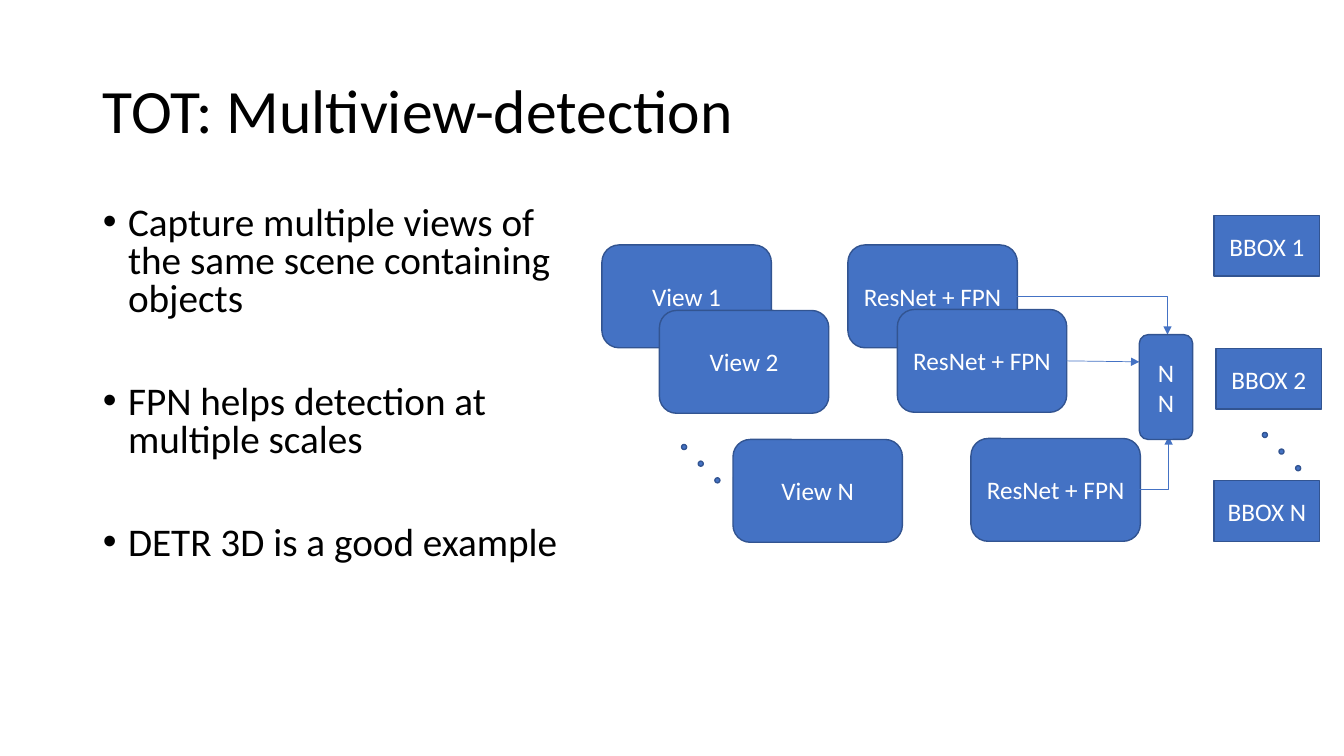
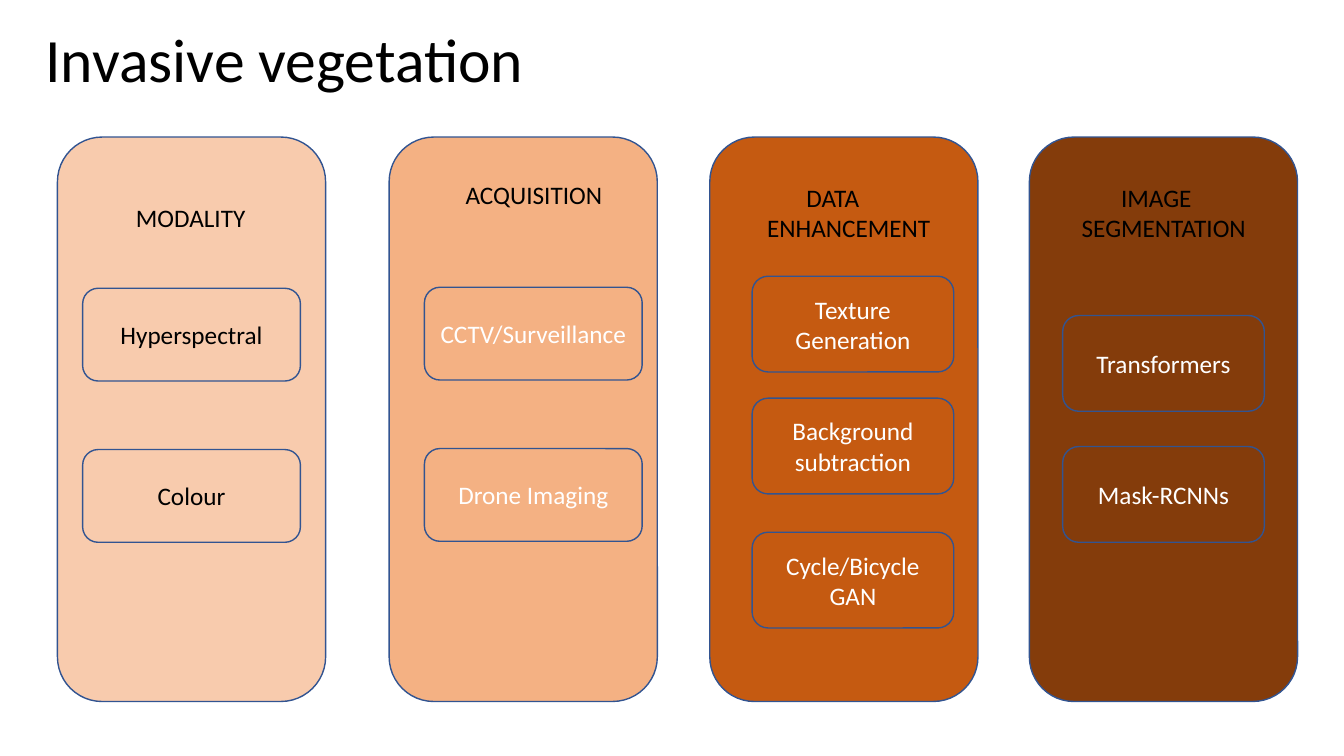
from pptx import Presentation
from pptx.dml.color import RGBColor
from pptx.enum.shapes import MSO_CONNECTOR as Link, MSO_SHAPE as Form
from pptx.enum.text import MSO_ANCHOR as Anchor, MSO_AUTO_SIZE as Fit, PP_ALIGN as Align
from pptx.oxml.ns import qn
from pptx.util import Inches, Pt
from lxml.etree import SubElement

# Shared look
COLORS = {"ink": "000000", "paper": "FFFFFF", "blue": "4472C4", "edge": "325491",
          "peach": "F8CBAD", "apricot": "F4B183", "rust": "C55A11", "brown": "843C0B"}
FONT = "Calibri"
TITLE = {"size": 44, "line_spacing": 0.9, "alignment": Align.LEFT}
LABEL = {"size": 18, "alignment": Align.CENTER}
HEADING = {"size": 18, "alignment": Align.LEFT}
BULLET = {"size": 28, "line_spacing": 0.8, "alignment": Align.LEFT}
BULLET_GAP = 47

# Slide 1 content: each stack has a left edge, labels and offsets from its first box
POINTS = ["Capture multiple views of the same scene containing objects",
          "FPN helps detection at multiple scales",
          "DETR 3D is a good example"]
STACK_TOP, STACK_BOX = 2.43, (1.68, 1.02)
STACKS = [
    (5.97, ["View 1", "View 2", "View N"], [(0, 0), (0.57, 0.65), (1.3, 1.93)]),
    (8.41, ["ResNet + FPN"] * 3, [(0, 0), (0.49, 0.64), (1.22, 1.92)]),
]
DOT, DOT_STEP = 0.05, 0.165
DOT_TRAILS = [(6.76, 4.41), (12.52, 4.29)]
NETWORK = (11.3, 3.32, 0.53, 1.04)
ARROWS = [(Link.STRAIGHT, (10.57, 3.58), (11.3, 3.59)),
          (Link.ELBOW, (11.3, 4.86), (11.59, 4.33)),
          (Link.ELBOW, (10.08, 2.94), (11.58, 3.32))]
OUTPUT_BOX = (1.05, 0.6)
OUTPUTS = [("BBOX 1", 12.04, 2.14), ("BBOX 2", 12.06, 3.46), ("BBOX N", 12.04, 4.77)]

# Slide 2 content: heading is (text, dx, top, width, height, first-line indent)
COLUMN_TOP, COLUMN_SIZE = 1.36, (2.66, 5.6)
WIDE, TALL = (2.16, 0.92), (2, 0.95)
COLUMNS = [
    {"left": 0.57, "fill": "peach", "text": "ink", "inset": 0.25, "box": WIDE,
     "heading": ("MODALITY", 0.68, 1.96, 1.6, 0.4, 0),
     "steps": [("Hyperspectral", 2.86), ("Colour", 4.46)]},
    {"left": 3.86, "fill": "apricot", "text": "paper", "inset": 0.35, "box": WIDE,
     "heading": ("ACQUISITION", 0.66, 1.73, 1.64, 0.4, 0),
     "steps": [("CCTV/Surveillance", 2.85), ("Drone Imaging", 4.45)]},
    {"left": 7.04, "fill": "rust", "text": "paper", "inset": 0.42, "box": TALL,
     "heading": ("DATA ENHANCEMENT", 0.47, 1.76, 1.92, 0.71, 0.39),
     "steps": [("Texture Generation", 2.74), ("Background subtraction", 3.95),
               ("Cycle/Bicycle GAN", 5.28)]},
    {"left": 10.21, "fill": "brown", "text": "paper", "inset": 0.33, "box": TALL,
     "heading": ("IMAGE SEGMENTATION", 0.42, 1.76, 1.92, 0.71, 0.39),
     "steps": [("Transformers", 3.13), ("Mask-RCNNs", 4.43)]},
]


def rgb(name):
    return RGBColor.from_string(COLORS[name])


def inches(*lengths):
    return [Inches(length) for length in lengths]


def write(paragraph, text, look, color="ink"):
    paragraph.text = text
    for key, value in look.items():
        if key == "size":
            paragraph.font.size = Pt(value)
        else:
            setattr(paragraph, key, value)
    paragraph.font.name = FONT
    paragraph.font.color.rgb = rgb(color)


def place(part, left, top, width, height):
    sides = ("left", "top", "width", "height")
    for side, length in zip(sides, inches(left, top, width, height)):
        setattr(part, side, length)


def add_title(slide, text, *at):
    title = slide.shapes.title
    place(title, *at)
    frame = title.text_frame
    frame.vertical_anchor, frame.auto_size = Anchor.MIDDLE, Fit.NONE
    write(frame.paragraphs[0], text, TITLE)


def add_box(slide, form, at, fill="blue", text="", color="paper"):
    box = slide.shapes.add_shape(form, *inches(*at))
    box.shadow.inherit = False
    box.fill.solid()
    box.fill.fore_color.rgb = rgb(fill)
    box.line.color.rgb = rgb("edge")
    box.line.width = Pt(1)
    if text:
        box.text_frame.vertical_anchor = Anchor.MIDDLE
        write(box.text_frame.paragraphs[0], text, LABEL, color)


def add_bullets(slide, points, *at):
    body = slide.placeholders[1]
    place(body, *at)
    frame = body.text_frame
    frame.auto_size = Fit.NONE
    for number, point in enumerate(points):
        paragraph = frame.add_paragraph() if number else frame.paragraphs[0]
        props = paragraph._p.get_or_add_pPr()
        props.set("marL", str(Inches(0.25)))
        props.set("indent", str(Inches(-0.25)))
        SubElement(props, qn("a:buFont")).set("typeface", "Arial")
        SubElement(props, qn("a:buChar")).set("char", "•")
        write(paragraph, point, BULLET)
        paragraph.space_before = Pt(BULLET_GAP if number else 0)


def add_arrow(slide, route, start, end):
    arrow = slide.shapes.add_connector(route, *inches(*start, *end))
    arrow.line.color.rgb = rgb("blue")
    arrow.line.width = Pt(0.5)
    props = arrow._element.spPr
    if route == Link.ELBOW:  # one corner only
        props.find(qn("a:prstGeom")).set("prst", "bentConnector2")
    SubElement(props.find(qn("a:ln")), qn("a:tailEnd")).set("type", "triangle")
    SubElement(props, qn("a:effectLst"))


def add_heading(slide, left, heading):
    text, dx, top, width, height, indent = heading
    label = slide.shapes.add_textbox(*inches(left + dx, top, width, height))
    label.text_frame.word_wrap = True
    paragraph = label.text_frame.paragraphs[0]
    paragraph._p.get_or_add_pPr().set("indent", str(Inches(indent)))
    write(paragraph, text, HEADING)


def build_detection(deck):
    slide = deck.slides.add_slide(deck.slide_layouts[1])
    add_title(slide, "TOT: Multiview-detection", 0.92, 0.4, 11.5, 1.45)
    add_bullets(slide, POINTS, 0.92, 2, 4.85, 3.99)
    # Views and their backbones
    for left, labels, offsets in STACKS:
        for label, (dx, dy) in zip(labels, offsets):
            add_box(slide, Form.ROUNDED_RECTANGLE,
                    (left + dx, STACK_TOP + dy, *STACK_BOX), text=label)
    for left, top in DOT_TRAILS:
        for step in range(3):
            shift = step * DOT_STEP
            add_box(slide, Form.OVAL, (left + shift, top + shift, DOT, DOT))
    # Network and its outputs
    for arrow in ARROWS:
        add_arrow(slide, *arrow)
    add_box(slide, Form.ROUNDED_RECTANGLE, NETWORK, text="NN")
    for label, left, top in OUTPUTS:
        add_box(slide, Form.RECTANGLE, (left, top, *OUTPUT_BOX), text=label)


def build_vegetation(deck):
    slide = deck.slides.add_slide(deck.slide_layouts[5])
    add_title(slide, "Invasive vegetation", 0.35, 0.11, 6.02, 1.02)
    for column in COLUMNS:
        left, fill = column["left"], column["fill"]
        add_box(slide, Form.ROUNDED_RECTANGLE, (left, COLUMN_TOP, *COLUMN_SIZE), fill)
        add_heading(slide, left, column["heading"])
        for step, top in column["steps"]:
            add_box(slide, Form.ROUNDED_RECTANGLE,
                    (left + column["inset"], top, *column["box"]),
                    fill, step, column["text"])


def main():
    deck = Presentation()
    deck.slide_width, deck.slide_height = inches(13.33, 7.5)
    build_detection(deck)
    build_vegetation(deck)
    deck.save("out.pptx")


if __name__ == "__main__":
    main()
